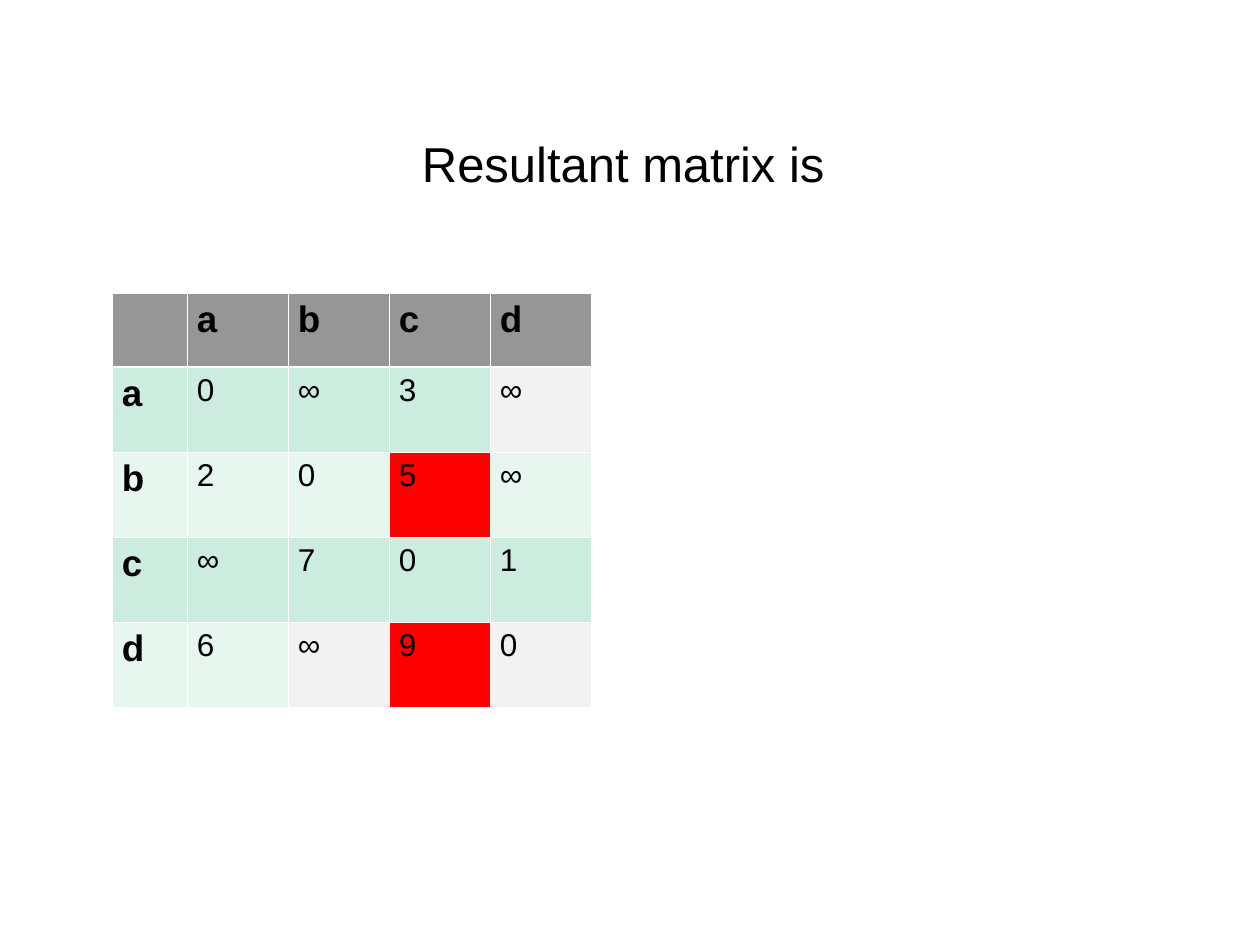
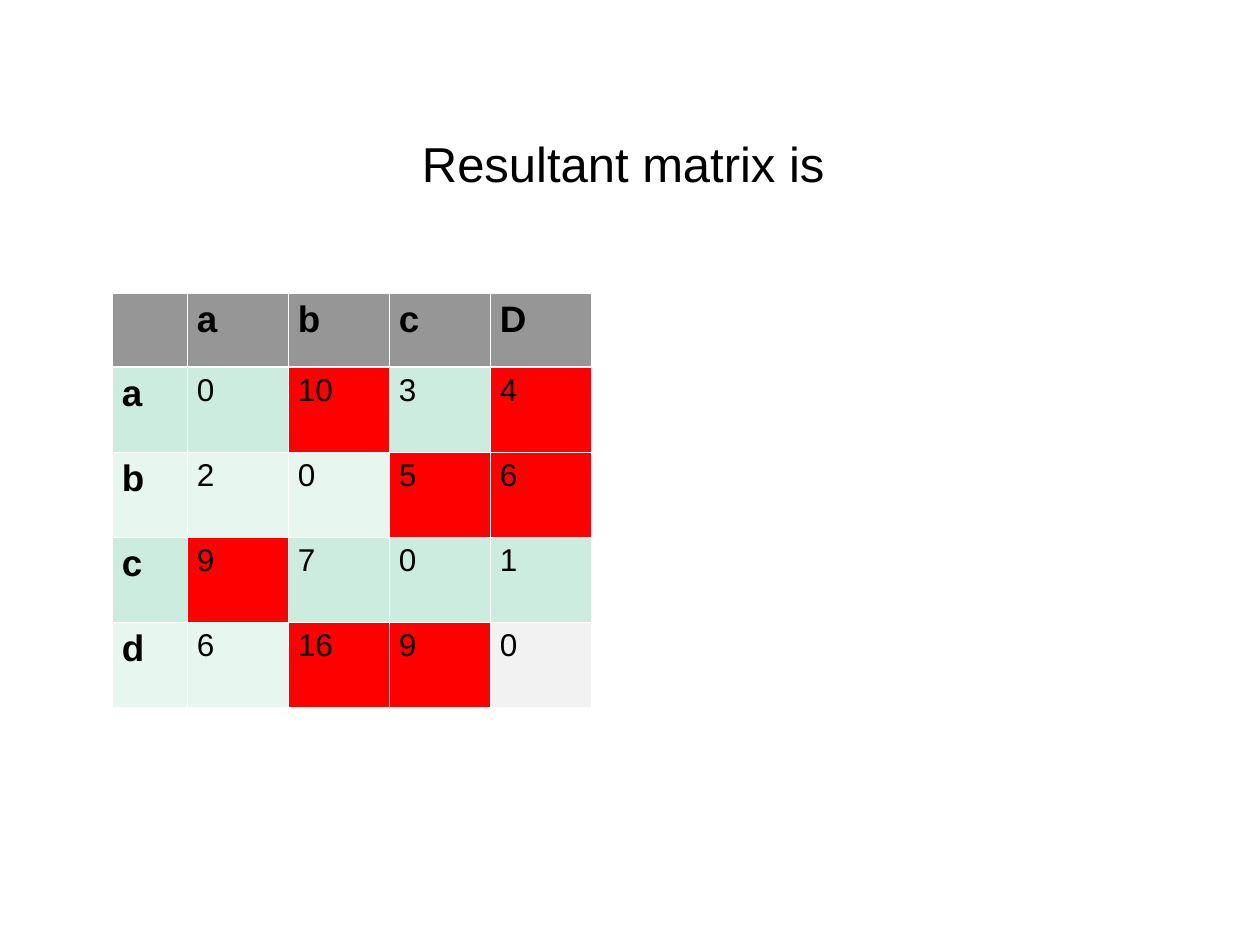
from dataclasses import dataclass

from lxml import etree
from pptx import Presentation, util as u
from pptx.dml.color import RGBColor
from pptx.enum import text as t
from pptx.oxml import ns

PX_PER_INCH = 126


@dataclass(frozen=True)
class Theme:
    font: str = "Arial"
    ink: str = "000000"
    header: str = "969696"
    odd_row: str = "CBECDE"
    even_row: str = "E7F6EF"
    neutral: str = "F2F2F2"
    changed: str = "FF0000"
    border: str = "FFFFFF"
    title_size: int = 28
    label_size: int = 21
    value_size: int = 18
    thin: float = 0.45
    thick: float = 1.47


THEME = Theme()
COLUMN_WIDTHS = [75] + [101] * 4
ROW_HEIGHTS = [74] + [85] * 4

MATRICES = [
    {
        "rows": [
            ["", "a", "b", "c", "d"],
            ["a", "0", "∞", "3", "∞"],
            ["b", "2", "0", "5", "∞"],
            ["c", "∞", "7", "0", "1"],
            ["d", "6", "∞", "9", "0"],
        ],
        "changed": {(2, 3), (4, 3)},
        "neutral": {(1, 4), (4, 2), (4, 4)},
    },
    {
        "rows": [
            ["", "a", "b", "c", "D"],
            ["a", "0", "10", "3", "4"],
            ["b", "2", "0", "5", "6"],
            ["c", "9", "7", "0", "1"],
            ["d", "6", "16", "9", "0"],
        ],
        "changed": {(1, 2), (1, 4), (2, 3), (2, 4), (3, 1), (4, 2), (4, 3)},
        "neutral": {(4, 4)},
    },
]


def px(length):
    return u.Emu(round(length * u.Inches(1) / PX_PER_INCH))


def write(frame, content, size, bold=False, align=t.PP_ALIGN.LEFT):
    paragraph = frame.paragraphs[0]
    paragraph.alignment = align
    run = paragraph.add_run()
    run.text = content
    run.font.name = THEME.font
    run.font.size = u.Pt(size)
    run.font.bold = bold
    run.font.color.rgb = RGBColor.from_string(THEME.ink)


def add_title(slide, content):
    frame = slide.shapes.add_textbox(px(95), px(84), px(1070), px(158)).text_frame
    frame.word_wrap = True
    frame.vertical_anchor = t.MSO_ANCHOR.MIDDLE
    write(frame, content, THEME.title_size, align=t.PP_ALIGN.CENTER)


def add_borders(cell, row):
    widths = {
        "L": THEME.thin,
        "R": THEME.thin,
        "T": THEME.thick if row == 1 else THEME.thin,
        "B": THEME.thick if row == 0 else THEME.thin,
    }
    properties = cell._tc.get_or_add_tcPr()
    for side, width in widths.items():
        line = etree.SubElement(properties, ns.qn(f"a:ln{side}"), w=str(u.Pt(width)))
        fill = etree.SubElement(line, ns.qn("a:solidFill"))
        etree.SubElement(fill, ns.qn("a:srgbClr"), val=THEME.border)


def cell_colour(position, matrix):
    if position in matrix["changed"]:
        return THEME.changed
    if position in matrix["neutral"]:
        return THEME.neutral
    row = position[0]
    if row == 0:
        return THEME.header
    return THEME.odd_row if row % 2 else THEME.even_row


def format_cell(cell, position, content, colour):
    cell.margin_left = cell.margin_right = px(10)
    cell.margin_top = cell.margin_bottom = px(6)
    add_borders(cell, position[0])
    cell.fill.solid()
    cell.fill.fore_color.rgb = RGBColor.from_string(colour)
    if content:
        label = 0 in position
        size = THEME.label_size if label else THEME.value_size
        write(cell.text_frame, content, size, bold=label)


def add_matrix(slide, matrix):
    grid = slide.shapes.add_table(
        len(ROW_HEIGHTS), len(COLUMN_WIDTHS), px(112), px(293),
        px(sum(COLUMN_WIDTHS)), px(sum(ROW_HEIGHTS)),
    ).table
    for column, width in zip(grid.columns, COLUMN_WIDTHS):
        column.width = px(width)
    for row, height in zip(grid.rows, ROW_HEIGHTS):
        row.height = px(height)
    for r, contents in enumerate(matrix["rows"]):
        for c, content in enumerate(contents):
            colour = cell_colour((r, c), matrix)
            format_cell(grid.cell(r, c), (r, c), content, colour)


def main():
    deck = Presentation()
    deck.slide_width, deck.slide_height = px(1260), px(945)
    for matrix in MATRICES:
        slide = deck.slides.add_slide(deck.slide_layouts[6])
        add_title(slide, "Resultant matrix is ")
        add_matrix(slide, matrix)
    deck.save("out.pptx")


if __name__ == "__main__":
    main()
